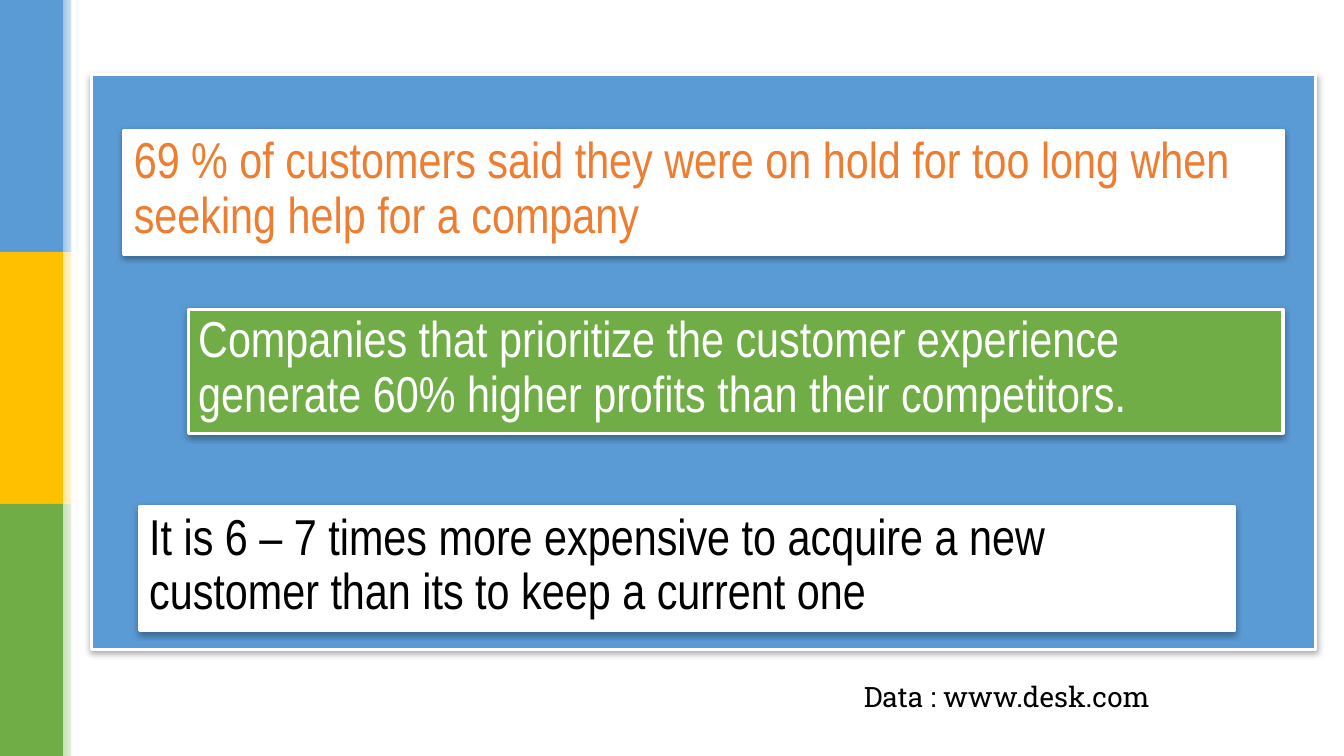
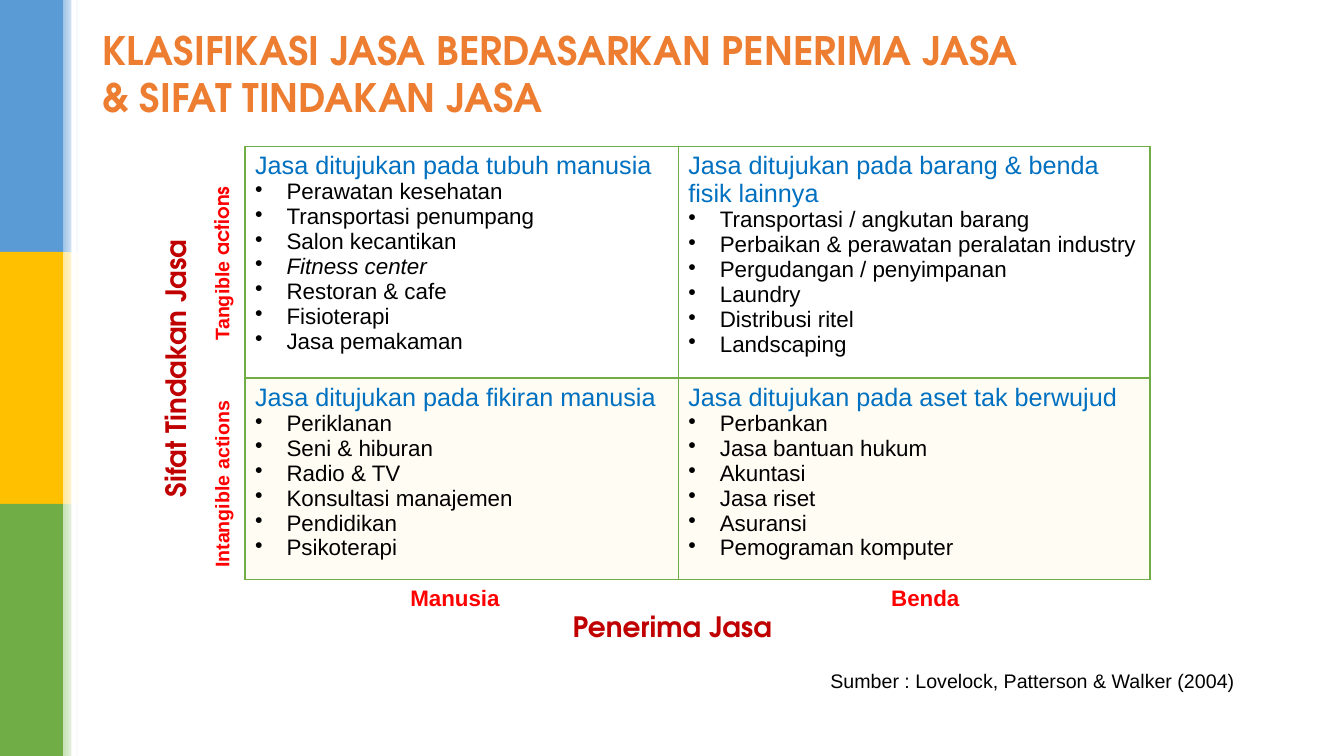
from lxml import etree
from pptx import Presentation
from pptx.dml.color import RGBColor
from pptx.enum.shapes import MSO_SHAPE
from pptx.enum.text import MSO_ANCHOR, PP_ALIGN
from pptx.oxml import parse_xml
from pptx.oxml.ns import nsdecls, qn
from pptx.util import Pt

RECTANGLE = MSO_SHAPE.RECTANGLE
TOP, MIDDLE = MSO_ANCHOR.TOP, MSO_ANCHOR.MIDDLE
LEFT, CENTER = PP_ALIGN.LEFT, PP_ALIGN.CENTER

COLORS = {
    "white": "FFFFFF", "black": "000000", "blue": "5B9BD5", "gold": "FFC000",
    "green": "70AD47", "pale_blue": "9DC3E6", "pale_gold": "FFE699",
    "pale_green": "C5E0B4", "orange": "ED7D31", "heading": "0070C0",
    "dark_red": "C00000", "red": "FF0000", "cream": "FFF2CC",
}
DISPLAY = "TeX Gyre Adventor"

# Text formats
TITLE = {"name": DISPLAY, "size": 28, "bold": True, "color": "orange"}
FACT = {"name": "Arial Narrow", "size": 36}
AXIS = {"name": DISPLAY, "size": 20, "bold": True, "color": "dark_red"}
COLUMN = {"name": "Arial", "size": 16, "bold": True, "color": "red"}
ROW = {**COLUMN, "size": 14}
HEADING = {"name": "Arial", "size": 18, "color": "heading"}
ITEM = {"name": "Arial", "size": 16, "color": "black"}
SOURCE = {"name": "Arial", "size": 14, "color": "black"}
DATA = {"name": "Roboto Slab", "size": 20, "color": "black"}


def rgb(name):
    return RGBColor.from_string(COLORS[name])


class Deck:
    """Holds the presentation, its style and the current page."""

    def __init__(self):
        self.deck = Presentation()
        self.deck.slide_width, self.deck.slide_height = Pt(960), Pt(540)
        self.page = None

    def new_page(self):
        self.page = self.deck.slides.add_slide(self.deck.slide_layouts[6])
        # Side band with a fading edge
        for index, color in enumerate(("blue", "gold", "green")):
            top = index * 180
            self.block(0, top, 45, 180, color)
            edge = self.block(45, top, 11.5, 180, "white")
            edge.fill.gradient()
            edge.fill.gradient_angle = 0
            for stop, shade in zip(edge.fill.gradient_stops,
                                   ("pale_" + color, "white")):
                stop.color.rgb = rgb(shade)
        self.block(51, 0, 3.6, 540, "white")

    def block(self, left, top, width, height, color):
        box = self.page.shapes.add_shape(
            RECTANGLE, Pt(left), Pt(top), Pt(width), Pt(height))
        box.shadow.inherit = False
        box.fill.solid()
        box.fill.fore_color.rgb = rgb(color)
        box.line.fill.background()
        return box

    def panel(self, left, top, width, height, color):
        """A block with a white outline and a soft shadow."""
        box = self.block(left, top, width, height, color)
        box.line.color.rgb = rgb("white")
        box.line.width = Pt(2.25)
        effects = box._element.spPr.find(qn("a:effectLst"))
        effects.append(parse_xml(
            f'<a:outerShdw {nsdecls("a")} blurRad="{Pt(4.5)}" dist="{Pt(1.5)}" '
            'dir="5400000" algn="ctr" rotWithShape="0"><a:srgbClr val="000000">'
            '<a:alpha val="32000"/></a:srgbClr></a:outerShdw>'))
        return box

    def fact(self, left, top, width, text, color, ink):
        box = self.panel(left, top, width, 88.5, color)
        frame = box.text_frame
        frame.word_wrap = True
        frame.vertical_anchor = TOP
        para = frame.paragraphs[0]
        para.alignment = LEFT
        para.line_spacing = 0.9
        self.span(para, text, {**FACT, "color": ink})

    def label(self, left, top, width, height, spans, rotation=0,
              align=LEFT, anchor=TOP, wrap=True):
        box = self.page.shapes.add_textbox(
            Pt(left), Pt(top), Pt(width), Pt(height))
        box.rotation = rotation
        frame = box.text_frame
        frame.word_wrap = wrap
        frame.vertical_anchor = anchor
        para = frame.paragraphs[0]
        para.alignment = align
        for text, style in spans:
            self.span(para, text, style)

    def span(self, para, text, style):
        span = para.add_run()
        span.text = text
        for key, value in style.items():
            if key == "color":
                span.font.color.rgb = rgb(value)
            else:
                setattr(span.font, key, Pt(value) if key == "size" else value)

    def bullet(self, para):
        props = para._p.get_or_add_pPr()
        props.set("marL", str(Pt(22.5)))
        props.set("indent", str(-Pt(22.5)))
        etree.SubElement(props, qn("a:buChar")).set("char", "•")

    def borders(self, cell, bottom):
        props = cell._tc.get_or_add_tcPr()
        widths = {"lnL": 1, "lnR": 1, "lnT": 1, "lnB": bottom}
        for index, (side, width) in enumerate(widths.items()):
            props.insert(index, parse_xml(
                f'<a:{side} {nsdecls("a")} w="{Pt(width)}"><a:solidFill>'
                f'<a:srgbClr val="{COLORS["green"]}"/></a:solidFill></a:{side}>'))

    def matrix(self, left, top, widths, heights, rows):
        frame = self.page.shapes.add_table(
            len(rows), len(widths), Pt(left), Pt(top),
            Pt(sum(widths)), Pt(sum(heights)))
        table = frame.table
        table.first_row = table.horz_banding = False
        for column, width in zip(table.columns, widths):
            column.width = Pt(width)
        for index, (cells, height) in enumerate(zip(rows, heights)):
            table.rows[index].height = Pt(height)
            for position, (heading, items) in enumerate(cells):
                cell = table.cell(index, position)
                cell.fill.solid()
                cell.fill.fore_color.rgb = rgb("cream" if index else "white")
                if index:
                    tint = cell._tc.tcPr.find(".//" + qn("a:srgbClr"))
                    etree.SubElement(tint, qn("a:alpha")).set("val", "20000")
                self.borders(cell, 1 if index else 2)
                self.span(cell.text_frame.paragraphs[0], heading, HEADING)
                for item in items:
                    para = cell.text_frame.add_paragraph()
                    self.bullet(para)
                    foreign = item == "Fitness center"
                    self.span(para, item, {**ITEM, "italic": foreign})


def facts_page(deck):
    deck.new_page()
    deck.panel(65.5, 53.5, 874, 410.5, "blue")
    deck.fact(88.5, 93, 828, "69 % of customers said they were on hold for too "
              "long when seeking help for a company", "white", "orange")
    deck.fact(134.5, 221, 782, "Companies that prioritize the customer experience "
              "generate 60% higher profits than their competitors.",
              "green", "white")
    deck.fact(99.5, 362, 782, "It is 6 – 7 times more expensive to acquire a new "
              "customer than its to keep a current one", "white", "black")
    deck.label(610, 481.5, 228, 31.5, [("Data : www.desk.com", DATA)])


def services_page(deck):
    deck.new_page()
    deck.label(66, 0, 685, 104.5, [
        ("KLASIFIKASI JASA BERDASARKAN PENERIMA JASA & SIFAT TINDAKAN JASA",
         TITLE)], anchor=MIDDLE)

    # Matrix of services
    deck.matrix(175, 104.5, (309.5, 337), (153, 133), [
        [("Jasa ditujukan pada tubuh manusia",
          ["Perawatan kesehatan", "Transportasi penumpang", "Salon kecantikan",
           "Fitness center", "Restoran & cafe", "Fisioterapi",
           "Jasa pemakaman"]),
         ("Jasa ditujukan pada barang & benda fisik lainnya",
          ["Transportasi / angkutan barang",
           "Perbaikan & perawatan peralatan industry",
           "Pergudangan / penyimpanan", "Laundry", "Distribusi ritel",
           "Landscaping"])],
        [("Jasa ditujukan pada fikiran manusia",
          ["Periklanan", "Seni & hiburan", "Radio & TV",
           "Konsultasi manajemen", "Pendidikan", "Psikoterapi"]),
         ("Jasa ditujukan pada aset tak berwujud",
          ["Perbankan", "Jasa bantuan hukum", "Akuntasi", "Jasa riset",
           "Asuransi", "Pemograman komputer"])],
    ])

    # Axis names
    deck.label(25, 247.5, 201, 31.5, [("Sifat Tindakan Jasa", AXIS)],
               rotation=270, align=CENTER, wrap=False)
    deck.label(401, 432, 158.5, 31.5, [("Penerima Jasa", AXIS)],
               align=CENTER, wrap=False)

    # Column and row names
    deck.label(286, 414, 91.5, 26.5, [("Manusia", COLUMN)])
    deck.label(629.5, 414, 108, 26.5, [("Benda", COLUMN)])
    deck.label(90.5, 332.5, 136, 24.5, [("Intangible actions", ROW)],
               rotation=270)
    deck.label(90.5, 170, 136, 24.5,
               [("Tangible", ROW), (" actions", {**ROW, "name": DISPLAY})],
               rotation=270)
    deck.label(586, 474, 315, 24.5,
               [("Sumber : Lovelock, Patterson & Walker (2004)", SOURCE)])


def main():
    deck = Deck()
    facts_page(deck)
    services_page(deck)
    deck.deck.save("out.pptx")


if __name__ == "__main__":
    main()
